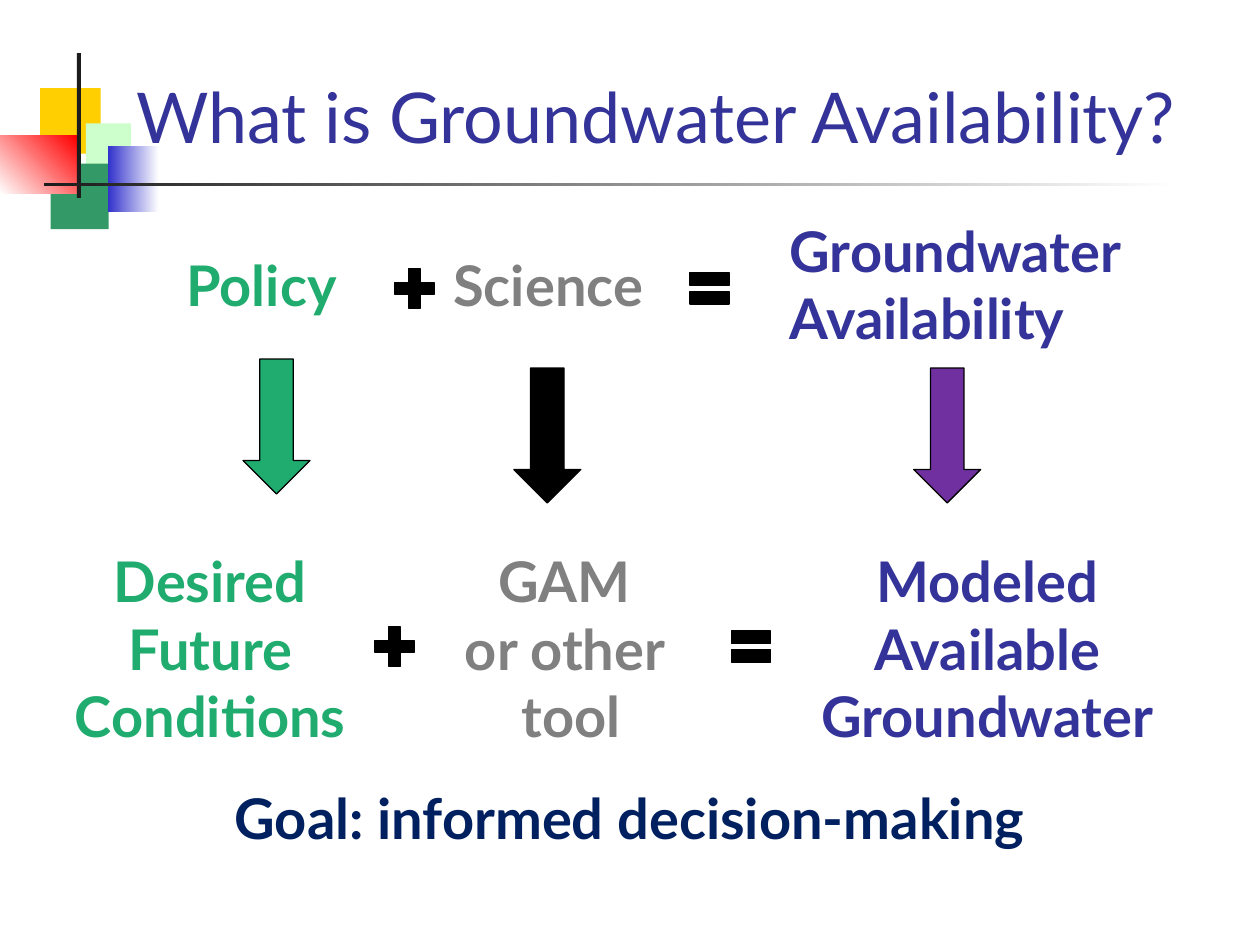
"""Build the groundwater availability slide."""
from pptx import Presentation
from pptx.dml.color import RGBColor
from pptx.enum.shapes import MSO_SHAPE as Kind
from pptx.enum.text import MSO_ANCHOR as Anchor, MSO_AUTO_SIZE as Fit, PP_ALIGN as Align
from pptx.util import Cm, Pt

BLUE, GREEN, GRAY, BLACK = "333399", "20AC6F", "808080", "000000"


def paint(color, tone):
    color.rgb = RGBColor.from_string(tone)


def write(frame, text, tone=BLUE, size=32, bold=True, align=Align.LEFT, font="Lato"):
    frame.text = text
    for para in frame.paragraphs:
        para.alignment = align
        para.font.name = font
        para.font.size = Pt(size)
        para.font.bold = bold
        paint(para.font.color, tone)


class Deck:
    def __init__(self, wide, high):
        self.show = Presentation()
        self.show.slide_width, self.show.slide_height = Cm(wide), Cm(high)
        self.slide = self.show.slides.add_slide(self.show.slide_layouts[5])

    def title(self, text, box):
        head = self.slide.shapes.title
        head.left, head.top, head.width, head.height = map(Cm, box)
        frame = head.text_frame
        write(frame, text, size=40, bold=False)
        frame.auto_size = Fit.NONE
        frame.vertical_anchor = Anchor.BOTTOM

    def shape(self, kind, box, tone, edge=None):
        item = self.slide.shapes.add_shape(kind, *map(Cm, box))
        item.shadow.inherit = False
        item.fill.solid()
        paint(item.fill.fore_color, tone)
        if edge:
            paint(item.line.color, edge)
            item.line.width = Pt(0.75)
        else:
            item.line.fill.background()
        return item

    def fade(self, box, start, end, angle=0):
        fill = self.shape(Kind.RECTANGLE, box, start).fill
        fill.gradient()
        fill.gradient_angle = angle
        for stop, tone, place in zip(fill.gradient_stops, (start, end), (0, 1)):
            paint(stop.color, tone)
            stop.position = place

    def text(self, text, box, wrap=False, **style):
        frame = self.slide.shapes.add_textbox(*map(Cm, box)).text_frame
        frame.word_wrap = wrap
        frame.auto_size = Fit.SHAPE_TO_FIT_TEXT
        write(frame, text, **style)


def main():
    deck = Deck(25.4, 19.05)

    for box, tone in (
        ((0.81, 1.78, 1.22, 1.32), "FFCF01"),
        ((1.73, 2.49, 0.91, 1.32), "CCFFCC"),
        ((1.02, 3.3, 1.17, 1.32), "339966"),
    ):
        deck.shape(Kind.RECTANGLE, box, tone)
    deck.fade((2.18, 2.95, 1.02, 1.32), "3333CC", "FFFFFF")
    deck.fade((0, 2.74, 1.55, 1.17), "FFFFFF", "FF0000", angle=45)
    deck.shape(Kind.RECTANGLE, (1.55, 1.07, 0.08, 2.92), "1C1C1C")
    deck.fade((0.89, 3.68, 22.86, 0.08), "1C1C1C", "FFFFFF")

    deck.title("What is Groundwater Availability?", (2.49, 0.43, 21.64, 2.87))

    deck.text("Policy", (3.51, 4.93, 3.91, 1.63), tone=GREEN)
    deck.text("Science", (8.89, 4.93, 4.85, 1.63), tone=GRAY)
    deck.text("Groundwater\nAvailability", (15.67, 4.24, 8.05, 3), wrap=True)

    for top, plus, equal in ((5.28, 7.82, 13.77), (12.5, 7.42, 14.6)):
        for kind, left in ((Kind.MATH_PLUS, plus), (Kind.MATH_EQUAL, equal)):
            deck.shape(kind, (left, top, 1.07, 1.07), BLACK, edge=BLACK)

    for left, top, tone in (
        (4.9, 7.24, GREEN), (10.36, 7.42, BLACK), (18.42, 7.42, "7030A0"),
    ):
        deck.shape(Kind.DOWN_ARROW, (left, top, 1.35, 2.72), tone, edge=BLACK)

    for text, left, wide, tone, wrap in (
        ("Desired\nFuture\nConditions", 0.94, 6.6, GREEN, False),
        ("GAM \nor other \ntool", 8.79, 5.46, GRAY, False),
        ("Modeled Available Groundwater", 15.88, 8.05, BLUE, True),
    ):
        deck.text(text, (left, 10.9, wide, 4.37), wrap=wrap, tone=tone,
                  align=Align.CENTER)
    deck.text("Goal: informed decision-making", (0, 15.67, 25.4, 1.63), wrap=True,
              tone="002060", align=Align.CENTER)

    deck.show.save("out.pptx")


if __name__ == "__main__":
    main()
